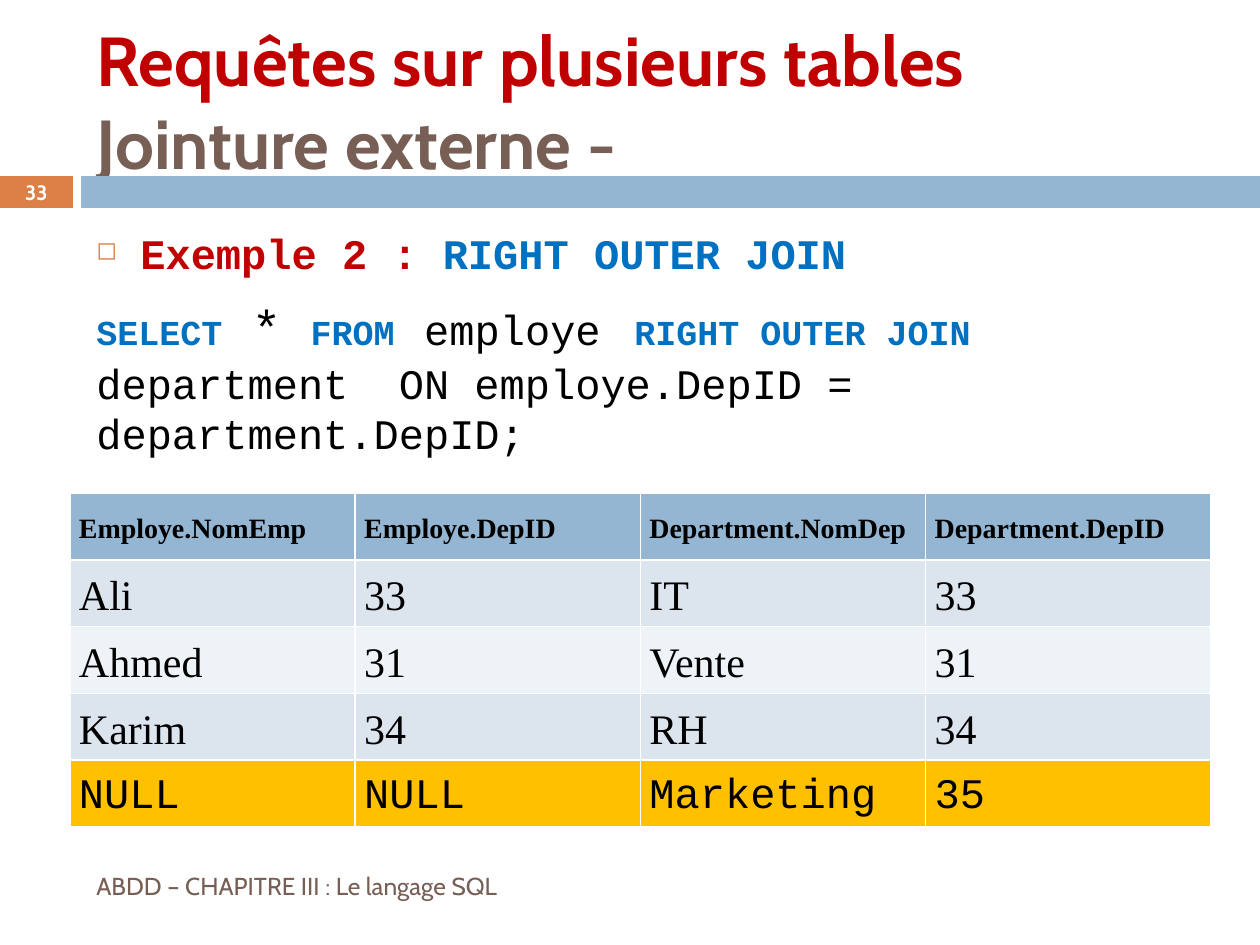
import lxml.etree
import pptx
import pptx.dml.color
import pptx.enum.shapes
import pptx.enum.text
import pptx.oxml
import pptx.oxml.ns
import pptx.util

EMU_PER_PIXEL = 914400 / 126
COLORS = {
    "white": "FFFFFF", "black": "000000", "red": "C00000", "brown": "775F55",
    "orange": "DD8047", "blue": "94B6D2", "keyword": "0070C0",
    "band": "DCE5EE", "light": "EEF3F7", "highlight": "FFC000",
}
HEADING, CODE, SERIF = "Cabin", "Courier New", "Times New Roman"
MIDDLE = pptx.enum.text.MSO_ANCHOR.MIDDLE
TOP = pptx.enum.text.MSO_ANCHOR.TOP
LEFT = pptx.enum.text.PP_ALIGN.LEFT
CENTER = pptx.enum.text.PP_ALIGN.CENTER


def px(length):
    """Turn pixels into EMU."""
    return pptx.util.Emu(round(length * EMU_PER_PIXEL))


def rgb(name):
    """Look up a named colour."""
    return pptx.dml.color.RGBColor.from_string(COLORS[name])


def style_font(font, name=None, size=None, color=None, bold=None):
    """Set the given properties of a font."""
    if name:
        font.name = name
    if size:
        font.size = pptx.util.Pt(size)
    if color:
        font.color.rgb = rgb(color)
    if bold is not None:
        font.bold = bold


class SlideBuilder:
    """Hold the current slide and draw its elements."""

    def __init__(self, presentation):
        """Add a title-only slide."""
        self.slide = presentation.slides.add_slide(presentation.slide_layouts[5])

    def prepare(self, shape, box, anchor):
        """Place a shape and return its cleared text frame."""
        shape.left, shape.top, shape.width, shape.height = map(px, box)
        frame = shape.text_frame
        frame.word_wrap = True
        frame.auto_size = pptx.enum.text.MSO_AUTO_SIZE.NONE
        frame.vertical_anchor = anchor
        return frame

    def bar(self, box, color):
        """Draw a plain filled rectangle."""
        shape = self.slide.shapes.add_shape(
            pptx.enum.shapes.MSO_SHAPE.RECTANGLE, *map(px, box))
        shape.shadow.inherit = False
        shape.fill.solid()
        shape.fill.fore_color.rgb = rgb(color)
        shape.line.fill.background()

    def title(self, box, lines):
        """Write the title as coloured lines."""
        paragraph = self.prepare(self.slide.shapes.title, box, MIDDLE).paragraphs[0]
        paragraph.alignment = LEFT
        style_font(paragraph.font, HEADING, 39.6, bold=True)
        for index, (text, color) in enumerate(lines):
            if index:
                paragraph.add_line_break()
            run = paragraph.add_run()
            run.text = text
            style_font(run.font, color=color)

    def label(self, box, text, size, color, bold=False, alignment=LEFT):
        """Write a single line of heading text."""
        shape = self.slide.shapes.add_textbox(*map(px, box))
        paragraph = self.prepare(shape, box, MIDDLE).paragraphs[0]
        paragraph.text = text
        paragraph.alignment = alignment
        style_font(paragraph.font, HEADING, size, color, bold)

    def body(self, box, paragraphs):
        """Write code paragraphs, the first one with a bullet."""
        shape = self.slide.shapes.add_textbox(*map(px, box))
        frame = self.prepare(shape, box, TOP)
        for index, runs in enumerate(paragraphs):
            paragraph = frame.add_paragraph() if index else frame.paragraphs[0]
            paragraph.space_before = pptx.util.Pt(7)
            paragraph.font.name = CODE
            for text, size, color, bold in runs:
                run = paragraph.add_run()
                run.text = text
                style_font(run.font, None, size, color, bold)
        self.bullet(frame.paragraphs[0])

    def bullet(self, paragraph):
        """Give a paragraph a small square bullet."""
        properties = paragraph.font._element.getparent()
        properties.set("marL", str(px(44)))
        properties.set("indent", str(-px(44)))
        namespace = pptx.oxml.ns.nsdecls("a")
        default_font = properties.find(pptx.oxml.ns.qn("a:defRPr"))
        for xml in (
            f'<a:buClr {namespace}><a:srgbClr val="{COLORS["orange"]}"/></a:buClr>',
            f'<a:buSzPct {namespace} val="60000"/>',
            f'<a:buChar {namespace} char="\u25fb"/>',
        ):
            default_font.addprevious(pptx.oxml.parse_xml(xml))

    def table(self, box, rows):
        """Draw a table from (values, fill, font, size, bold) rows."""
        column_count = len(rows[0][0])
        table = self.slide.shapes.add_table(
            len(rows), column_count, *map(px, box)).table
        for row_index, (values, fill, font, size, bold) in enumerate(rows):
            for column_index, value in enumerate(values):
                cell = table.cell(row_index, column_index)
                cell.fill.solid()
                cell.fill.fore_color.rgb = rgb(fill)
                cell.vertical_anchor = MIDDLE
                cell.margin_left = cell.margin_right = px(9)
                cell.margin_top = cell.margin_bottom = 0
                paragraph = cell.text_frame.paragraphs[0]
                paragraph.text = value
                paragraph.line_spacing = 1.15
                style_font(paragraph.font, font, size, "black", bold)


def main():
    """Build and save the slide."""
    presentation = pptx.Presentation()
    presentation.slide_width, presentation.slide_height = px(1260), px(945)
    builder = SlideBuilder(presentation)
    builder.bar((0, 176, 73, 32), "orange")
    builder.bar((81, 176, 1179, 32), "blue")
    builder.title((84, 32, 1124, 136), [
        ("Requêtes sur plusieurs tables", "red"), ("Jointure externe - ", "brown")])
    builder.label((0, 175, 73, 34), "33", 11.9, "white", True, CENTER)
    builder.body((84, 221, 1124, 620), [
        [("Exemple 2 : ", 24, "red", True),
         ("RIGHT OUTER JOIN", 24, "keyword", True)],
        [("SELECT", 20, "keyword", True),
         (" * ", 28, "black", False),
         ("FROM", 20, "keyword", True),
         (" ", 28, "black", False),
         ("employe", 24, "black", False),
         (" ", 32, "black", False),
         ("RIGHT OUTER JOIN ", 20, "keyword", True),
         ("department  ON employe.DepID = department.DepID;", 24, "black", False)],
    ])
    builder.label((84, 861, 1137, 50), "ABDD – CHAPITRE III : Le langage SQL",
                  14, "brown")
    builder.table((70, 493, 1141, 334), [
        (("Employe.NomEmp", "Employe.DepID", "Department.NomDep",
          "Department.DepID"), "blue", SERIF, 16, True),
        (("Ali", "33", "IT", "33"), "band", SERIF, 24, False),
        (("Ahmed", "31", "Vente", "31"), "light", SERIF, 24, False),
        (("Karim", "34", "RH", "34"), "band", SERIF, 24, False),
        (("NULL", "NULL", "Marketing", "35"), "highlight", CODE, 24, False),
    ])
    presentation.save("out.pptx")


main()
